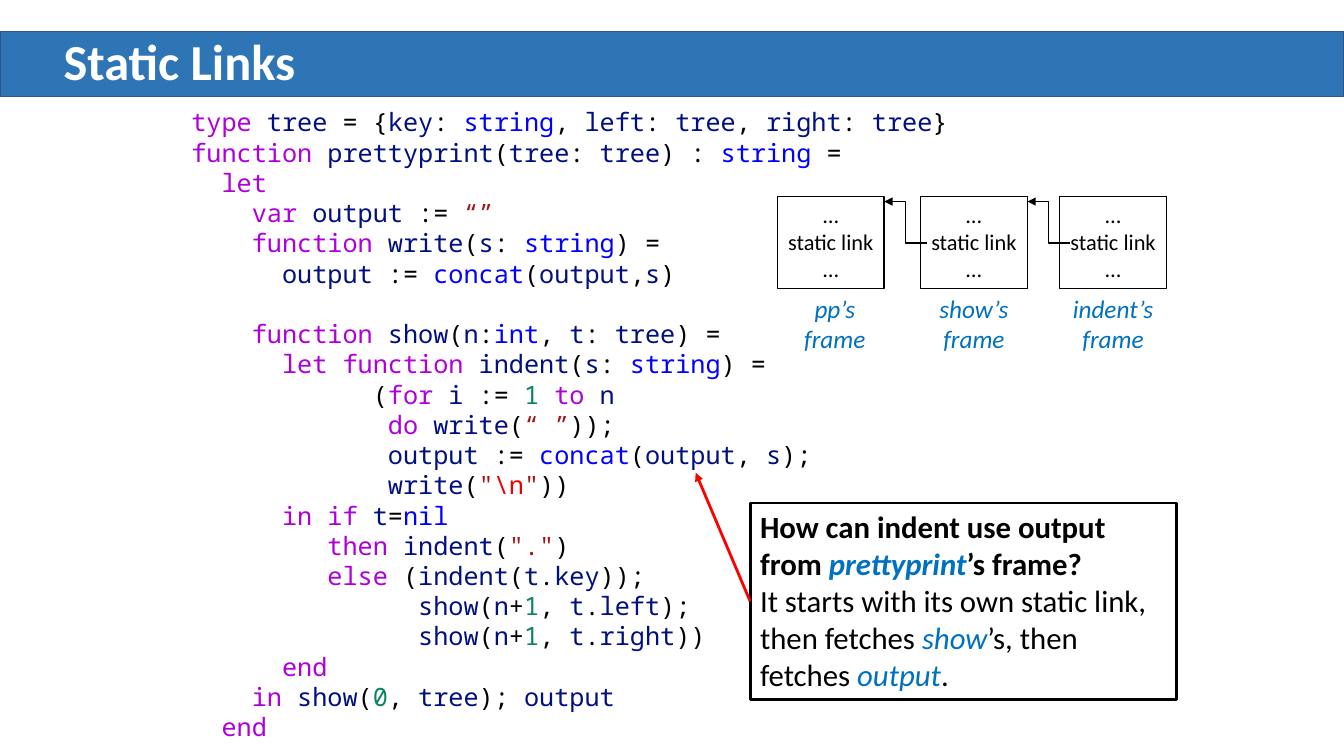
"""Build the slide on static links with its code, stack frames and question."""
from itertools import groupby

from lxml.etree import SubElement
from pptx import Presentation
from pptx.dml.color import RGBColor
from pptx.enum.shapes import MSO_CONNECTOR, MSO_SHAPE
from pptx.enum.text import MSO_ANCHOR, MSO_AUTO_SIZE, PP_ALIGN
from pptx.oxml.ns import qn
from pptx.util import Pt

EMU_PER_PX = 9144
WHITE = RGBColor(0xFF, 0xFF, 0xFF)
BLACK = RGBColor(0x00, 0x00, 0x00)
RED = RGBColor(0xFF, 0x00, 0x00)
BAND_BLUE = RGBColor(0x2E, 0x75, 0xB6)
BAND_EDGE = RGBColor(0x32, 0x54, 0x91)
ACCENT = RGBColor(0x00, 0x70, 0xC0)
KEYWORD = RGBColor(0xAF, 0x00, 0xDB)
NAME = RGBColor(0x00, 0x10, 0x80)
BUILTIN = RGBColor(0x00, 0x00, 0xFF)
NUMBER = RGBColor(0x09, 0x86, 0x58)
STRING = RGBColor(0xA3, 0x15, 0x15)
ESCAPE = RGBColor(0xEE, 0x00, 0x00)

TITLE_FORMAT = {"name": "Calibri", "size": Pt(36), "bold": True, "color": WHITE}
CODE_FORMAT = {"name": "Noto Sans Mono", "size": Pt(18)}
FRAME_FORMAT = {"name": "Calibri", "size": Pt(16), "color": BLACK}
LABEL_FORMAT = {"name": "Calibri", "size": Pt(18), "italic": True, "color": ACCENT}
ANSWER_FORMAT = {"name": "Calibri", "size": Pt(22), "color": BLACK}
QUESTION_FORMAT = ANSWER_FORMAT | {"bold": True}
TERM = {"italic": True, "color": ACCENT}

CODE_LINE_HEIGHT = Pt(21.6)
WORD_COLORS = dict.fromkeys(
    "type function let var for to do in if then else end".split(), KEYWORD
) | dict.fromkeys("string int nil concat".split(), BUILTIN)
CODE = r"""type tree = {key: string, left: tree, right: tree}
function prettyprint(tree: tree) : string =
  let
    var output := “”
    function write(s: string) =
      output := concat(output,s)

    function show(n:int, t: tree) =
      let function indent(s: string) =
            (for i := 1 to n
             do write(“ ”));
             output := concat(output, s);
             write("\n"))
      in if t=nil
         then indent(".")
         else (indent(t.key));
               show(n+1, t.left);
               show(n+1, t.right))
      end
    in show(0, tree); output
  end"""

FRAME_TOP, FRAME_WIDTH, FRAME_HEIGHT = 195, 106, 91
FRAMES = [("pp’s frame", 771, 775), ("show’s frame", 913, 913), ("indent’s frame", 1051, 1051)]
QUESTION = [
    [("How can indent use output from ", QUESTION_FORMAT),
     ("prettyprint", QUESTION_FORMAT | TERM),
     ("’s frame?", QUESTION_FORMAT)],
    [("It starts with its own static link, then fetches ", ANSWER_FORMAT),
     ("show", ANSWER_FORMAT | TERM),
     ("’s, then fetches ", ANSWER_FORMAT),
     ("output", ANSWER_FORMAT | TERM),
     (".", ANSWER_FORMAT)],
]


def px(*lengths):
    return [length * EMU_PER_PX for length in lengths]


def format_font(font, values):
    for attribute, value in values.items():
        if attribute == "color":
            font.color.rgb = value
        else:
            setattr(font, attribute, value)


def write_paragraphs(text_frame, paragraphs, alignment=PP_ALIGN.LEFT):
    text_frame.word_wrap = True
    for index, runs in enumerate(paragraphs):
        paragraph = text_frame.add_paragraph() if index else text_frame.paragraphs[0]
        paragraph.alignment = alignment
        for text, values in runs:
            run = paragraph.add_run()
            run.text = text
            format_font(run.font, values)


def add_rectangle(slide, box, line_color, line_width, fill_color=None):
    shape = slide.shapes.add_shape(MSO_SHAPE.RECTANGLE, *px(*box))
    shape.shadow.inherit = False
    if fill_color is None:
        shape.fill.background()
    else:
        shape.fill.solid()
        shape.fill.fore_color.rgb = fill_color
    shape.line.color.rgb = line_color
    shape.line.width = Pt(line_width)
    return shape


def add_text(slide, box, paragraphs, alignment=PP_ALIGN.LEFT):
    shape = slide.shapes.add_textbox(*px(*box))
    write_paragraphs(shape.text_frame, paragraphs, alignment)
    shape.text_frame.auto_size = MSO_AUTO_SIZE.SHAPE_TO_FIT_TEXT
    return shape


def add_arrow(slide, kind, start, end, color, width):
    connector = slide.shapes.add_connector(kind, *px(*start, *end))
    connector.line.color.rgb = color
    connector.line.width = Pt(width)
    properties = connector.element.spPr
    SubElement(properties.find(qn("a:ln")), qn("a:tailEnd"), type="triangle")
    SubElement(properties, qn("a:effectLst"))
    return connector


def add_title(slide, text):
    band = add_rectangle(slide, (0, 31, 1333, 65), BAND_EDGE, 1, BAND_BLUE)
    title = slide.shapes.title
    title.element.addprevious(band.element)
    title.left, title.top, title.width, title.height = px(53, 31, 1232, 65)
    title.text_frame.vertical_anchor = MSO_ANCHOR.MIDDLE
    write_paragraphs(title.text_frame, [[(text, TITLE_FORMAT)]])
    title.text_frame.paragraphs[0].line_spacing = 0.9


def character_kinds(line):
    quoted = False
    previous = ""
    for character in line:
        if character in "“”\"":
            quoted = not quoted
            yield "string"
        elif quoted:
            yield "escape" if "\\" in (character, previous) else "string"
        else:
            yield "word" if character.isalnum() else "symbol"
        previous = character


def code_runs(line):
    colors = {"string": STRING, "escape": ESCAPE, "symbol": BLACK}
    runs = []
    for kind, pairs in groupby(zip(character_kinds(line), line), key=lambda pair: pair[0]):
        text = "".join(character for _, character in pairs)
        word_color = NUMBER if text.isdigit() else WORD_COLORS.get(text, NAME)
        runs.append((text, CODE_FORMAT | {"color": colors.get(kind, word_color)}))
    return runs


def add_code(slide):
    lines = CODE.splitlines()
    shape = add_text(slide, (180, 101, 987, 646), [code_runs(line) for line in lines if line])
    shape.text_frame.paragraphs[lines.index("")].space_before = CODE_LINE_HEIGHT


def add_question(slide):
    box = add_rectangle(slide, (744, 499, 423, 195), BLACK, 2)
    box.text_frame.vertical_anchor = MSO_ANCHOR.TOP
    write_paragraphs(box.text_frame, QUESTION)
    arrow = add_arrow(slide, MSO_CONNECTOR.STRAIGHT, (744, 597), (690, 469), RED, 2)
    arrow.begin_connect(box, 1)


def add_frame(slide, label, left, label_left):
    box = add_rectangle(slide, (left, FRAME_TOP, FRAME_WIDTH, FRAME_HEIGHT), BLACK, 1)
    box.text_frame.vertical_anchor = MSO_ANCHOR.TOP
    lines = [[(text, FRAME_FORMAT)] for text in ("…", "static link", "…")]
    write_paragraphs(box.text_frame, lines, PP_ALIGN.CENTER)
    label_box = (label_left, FRAME_TOP + FRAME_HEIGHT, FRAME_WIDTH, 71)
    add_text(slide, label_box, [[(label, LABEL_FORMAT)]], PP_ALIGN.CENTER)


def main():
    presentation = Presentation()
    presentation.slide_width, presentation.slide_height = px(1333, 750)
    slide = presentation.slides.add_slide(presentation.slide_layouts[5])
    add_title(slide, "Static Links")
    add_code(slide)
    add_question(slide)
    for label, left, label_left in FRAMES:
        add_frame(slide, label, left, label_left)
    for _, left, _ in FRAMES[:-1]:
        right = left + FRAME_WIDTH
        add_arrow(slide, MSO_CONNECTOR.ELBOW, (right + 42, 241), (right, 200), BLACK, 1)
    presentation.save("out.pptx")


if __name__ == "__main__":
    main()
